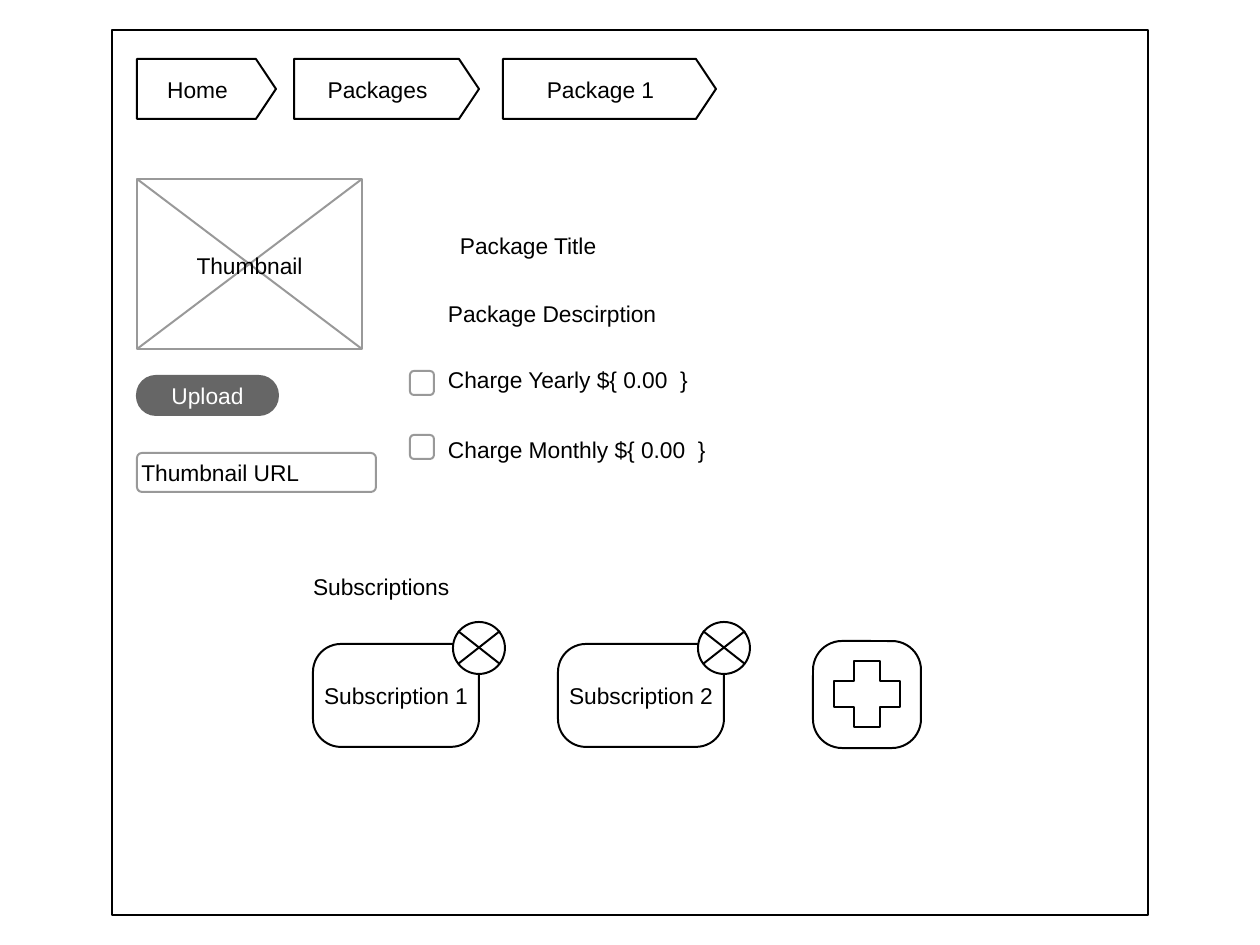
import pptx
import pptx.util
import pptx.dml.color
import pptx.enum.shapes
import pptx.enum.text
import pptx.oxml.ns
from lxml import etree

PX = 914400 / 126  # EMU in one px
KIND = pptx.enum.shapes.MSO_SHAPE
ALIGN = pptx.enum.text.PP_ALIGN
RGB = pptx.dml.color.RGBColor.from_string
THEME = {
    "paper": RGB("FFFFFF"),
    "ink": RGB("000000"),
    "muted": RGB("999999"),
    "button": RGB("666666"),
    "outline": pptx.util.Pt(1.13),
    "font": {"name": "Arial", "size": pptx.util.Pt(13)},
    "frame": {"margin_left": 0, "margin_top": 0, "margin_right": 0, "margin_bottom": 0},
}


def emu(*lengths):
    return [round(length * PX) for length in lengths]


def draw(kind, box, line="ink", fill="paper", corner=None):
    """Add an outlined shape; corner is the first adjustment in px."""
    shape = slide.shapes.add_shape(kind, *emu(*box))
    shape.shadow.inherit = False
    shape.fill.solid()
    shape.fill.fore_color.rgb = THEME[fill]
    shape.line.color.rgb = THEME[line]
    shape.line.width = THEME["outline"]
    if corner is not None:
        shape.adjustments[0] = corner / min(box[2:])
    return shape


def write(shape, text, align=ALIGN.CENTER, colour="ink", wrap=False, **margins):
    frame = shape.text_frame
    insets = {side: emu(inset)[0] for side, inset in margins.items()}
    for name, value in {**THEME["frame"], **insets}.items():
        setattr(frame, name, value)
    frame.word_wrap = wrap
    frame.vertical_anchor = pptx.enum.text.MSO_ANCHOR.MIDDLE
    paragraph = frame.paragraphs[0]
    paragraph.alignment = align
    run = paragraph.add_run()
    run.text = text
    for name, value in THEME["font"].items():
        setattr(run.font, name, value)
    run.font.color.rgb = THEME[colour]


deck = pptx.Presentation()
deck.slide_width, deck.slide_height = emu(1260, 945)
slide = deck.slides.add_slide(deck.slide_layouts[6])

# Page frame
draw(KIND.RECTANGLE, (112, 30, 1036, 885))

# Breadcrumbs
for crumb, left, width in (("Home", 137, 139), ("Packages", 294, 185), ("Package 1", 503, 213)):
    step = draw(KIND.PENTAGON, (left, 59, width, 60), corner=20)
    write(step, crumb, margin_right=8)

# Thumbnail panel, upload button and URL field
thumbnail = (137, 179, 225, 170)
draw(KIND.RECTANGLE, thumbnail, "muted")
upload = draw(KIND.ROUNDED_RECTANGLE, (137, 376, 141, 39), "button", "button", corner=19)
write(upload, "Upload", colour="paper")
url_field = draw(KIND.ROUNDED_RECTANGLE, (137, 453, 239, 39), "muted", corner=5)
write(url_field, "Thumbnail URL", ALIGN.LEFT, margin_left=3)

# Subscription cards, each with a round close button on its corner
crosses = [(thumbnail, "muted")]
for number, left in enumerate((313, 558), start=1):
    card = draw(KIND.ROUNDED_RECTANGLE, (left, 644, 166, 103), corner=28)
    write(card, f"Subscription {number}")
    draw(KIND.OVAL, (left + 140, 622, 52, 52))
    crosses.append(((left + 145, 631, 42, 33), "ink"))

# Diagonals of the thumbnail and the close buttons
for (left, top, width, height), colour in crosses:
    right, bottom = left + width, top + height
    for ends in ((left, top, right, bottom), (right, top, left, bottom)):
        diagonal = slide.shapes.add_connector(pptx.enum.shapes.MSO_CONNECTOR.STRAIGHT, *emu(*ends))
        diagonal.line.color.rgb = THEME[colour]
        diagonal.line.width = THEME["outline"]
        etree.SubElement(diagonal._element.spPr, pptx.oxml.ns.qn("a:effectLst"))
write(slide.shapes.add_textbox(*emu(146, 251, 207, 28)), "Thumbnail", wrap=True)

# Add-subscription card
draw(KIND.ROUNDED_RECTANGLE, (813, 641, 108, 107), corner=29)
draw(KIND.CROSS, (834, 661, 66, 66), corner=20)

# Charge checkboxes
for top in (371, 435):
    draw(KIND.ROUNDED_RECTANGLE, (410, top, 24, 24), "muted", corner=4)

# Free-standing labels
for label, left, top, width in (
    ("Package Title", 460, 231, 202),
    ("Package Descirption", 448, 299, 292),
    ("Charge Yearly ${ 0.00  }", 448, 365, 292),
    ("Charge Monthly ${ 0.00  }", 448, 435, 307),
    ("Subscriptions", 313, 572, 244),
):
    write(slide.shapes.add_textbox(*emu(left, top, width, 28)), label, ALIGN.LEFT, wrap=True)

deck.save("out.pptx")
